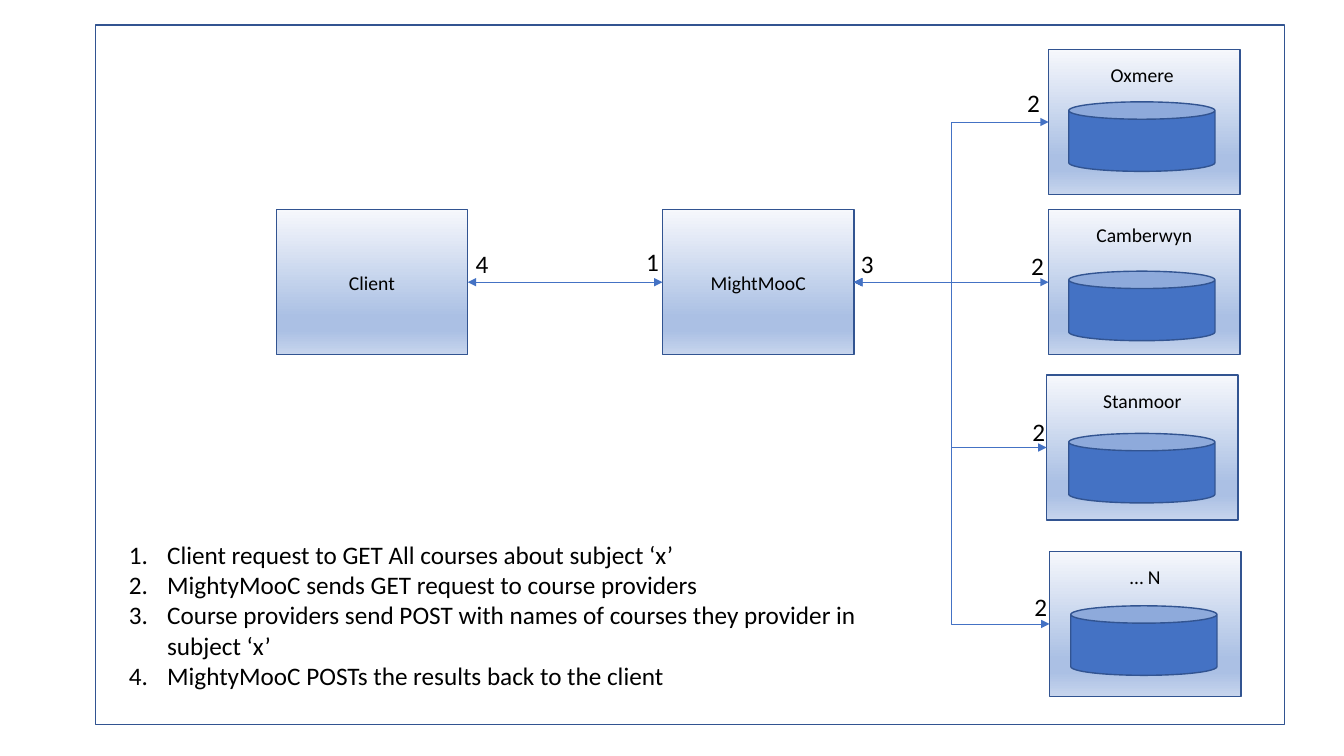
from lxml.etree import SubElement
from pptx import Presentation
from pptx.dml.color import RGBColor
from pptx.enum.shapes import MSO_CONNECTOR, MSO_SHAPE
from pptx.enum.text import MSO_ANCHOR, MSO_AUTO_SIZE, PP_ALIGN
from pptx.oxml import parse_xml
from pptx.oxml.ns import nsdecls, qn
from pptx.util import Inches, Pt

COLORS = {"line": "325491", "blue": "4472C4", "text": "000000",
          "light": "F6F8FC", "mid": "ABC0E4", "base": "C7D5ED"}
STOPS = [(0, "light"), (74, "mid"), (83, "mid"), (100, "base")]


class Deck:
    """Style and current slide; lengths are percent of slide width and height."""
    font = "Calibri"

    def __init__(self):
        self.prs = Presentation()
        self.prs.slide_width, self.prs.slide_height = Inches(13.33), Inches(7.5)
        self.s = self.prs.slides.add_slide(self.prs.slide_layouts[6])

    def x(self, share):
        return round(self.prs.slide_width * share / 100)

    def y(self, share):
        return round(self.prs.slide_height * share / 100)

    def at(self, x, y, w, h):
        return self.x(x), self.y(y), self.x(w), self.y(h)

    def color(self, name):
        return RGBColor.from_string(COLORS[name])

    def run(self, p, text, size):
        r = p.add_run()
        r.text = text
        r.font.name, r.font.size = self.font, Pt(size)
        r.font.color.rgb = self.color("text")

    def shape(self, kind, *box, fill=None):
        sp = self.s.shapes.add_shape(kind, *self.at(*box))
        sp.shadow.inherit = False
        if fill:
            sp.fill.solid()
            sp.fill.fore_color.rgb = self.color(fill)
        else:
            sp.fill.background()
        sp.line.color.rgb, sp.line.width = self.color("line"), Pt(1)
        return sp

    def node(self, x, y, text, top=None):
        """Gradient box; its text is centred, or starts at top when given."""
        sp = self.shape(MSO_SHAPE.RECTANGLE, x, y, NODE_W, NODE_H)
        stops = "".join(f'<a:gs pos="{pos * 1000}"><a:srgbClr val="{COLORS[c]}"/></a:gs>'
                        for pos, c in STOPS)
        grad = parse_xml(f'<a:gradFill {nsdecls("a")} rotWithShape="1"><a:gsLst>{stops}'
                         '</a:gsLst><a:lin ang="5400000" scaled="1"/></a:gradFill>')
        spPr = sp._element.spPr
        spPr.replace(spPr.find(qn("a:noFill")), grad)
        tf = sp.text_frame
        tf.vertical_anchor = MSO_ANCHOR.MIDDLE
        if top is not None:
            tf.vertical_anchor, tf.margin_top = MSO_ANCHOR.TOP, self.y(top)
        p = tf.paragraphs[0]
        p.alignment = PP_ALIGN.CENTER
        self.run(p, text, 14)

    def text(self, box, lines, numbered=False):
        tf = self.s.shapes.add_textbox(*self.at(*box)).text_frame
        tf.word_wrap = numbered
        tf.auto_size = MSO_AUTO_SIZE.SHAPE_TO_FIT_TEXT
        for i, line in enumerate(lines):
            p = tf.add_paragraph() if i else tf.paragraphs[0]
            self.run(p, line, 18)
            if numbered:
                pPr = p._p.get_or_add_pPr()
                indent = Inches(0.38)
                pPr.set("marL", str(indent))
                pPr.set("indent", str(-indent))
                SubElement(pPr, qn("a:buFont"), typeface="+mj-lt")
                SubElement(pPr, qn("a:buAutoNum"), type="arabicPeriod")

    def arrow(self, x1, y1, x2, y2, trunk=None):
        """Two-headed arrow that bends at the trunk when its ends differ in height."""
        kind = MSO_CONNECTOR.STRAIGHT if y1 == y2 else MSO_CONNECTOR.ELBOW
        c = self.s.shapes.add_connector(kind, self.x(x1), self.y(y1), self.x(x2), self.y(y2))
        c.line.color.rgb, c.line.width = self.color("blue"), Pt(0.5)
        spPr = c._element.spPr
        for end in ("headEnd", "tailEnd"):
            SubElement(spPr.find(qn("a:ln")), qn(f"a:{end}"), type="triangle")
        SubElement(spPr, qn("a:effectLst"))
        if y1 != y2:
            bend = round((trunk - x1) / (x2 - x1) * 100000)
            guides = spPr.find(qn("a:prstGeom")).get_or_add_avLst()
            SubElement(guides, qn("a:gd"), name="adj1", fmla=f"val {bend}")


NODE_W, NODE_H = 14.25, 19.2
CAN_W, CAN_H = 10.88, 9.2
LABEL_W, LABEL_H = 2.48, 5.33
CLIENT_X, SERVER_X, MAIN_Y = 20.55, 49.29, 27.73
TRUNK_X = 70.8
AXIS_Y = MAIN_Y + NODE_H / 2

# name, box x and y, database x and y, step label x and y
PROVIDERS = [("Oxmere ", 78.02, 6.53, 79.52, 13.47, 75.69, 10.93),
             ("Camberwyn", 78.02, MAIN_Y, 79.52, 35.87, 75.99, 32.4),
             ("Stanmoor", 77.87, 49.6, 79.52, 57.33, 76.07, 54.4),
             ("… N", 78.09, 72.93, 79.67, 80.13, 76.22, 77.6)]
STEPS = ["Client request to GET All courses about subject ‘x’ ",
         "MightyMooC sends GET request to course providers ",
         "Course providers send POST with names of courses they provider in subject ‘x’",
         "MightyMooC POSTs the results back to the client"]

deck = Deck()

# Frame, client and server
deck.shape(MSO_SHAPE.RECTANGLE, 7.13, 3.33, 88.45, 92.53)
deck.node(CLIENT_X, MAIN_Y, "Client")
deck.node(SERVER_X, MAIN_Y, "MightMooC")
deck.arrow(CLIENT_X + NODE_W, AXIS_Y, SERVER_X, AXIS_Y)

# Course providers with their databases and links
for name, x, y, can_x, can_y, label_x, label_y in PROVIDERS:
    deck.node(x, y, name, top=1.8)
    deck.shape(MSO_SHAPE.CAN, can_x, can_y, CAN_W, CAN_H, fill="blue")
    deck.arrow(SERVER_X + NODE_W, AXIS_Y, x, y + NODE_H / 2, TRUNK_X)
    deck.text((label_x, label_y, LABEL_W, LABEL_H), ["2"])

# Remaining step labels
for step, x, y in [("1", 47.34, 31.87), ("3", 63.32, 32.13), ("4", 34.66, 32.13)]:
    deck.text((x, y, LABEL_W, LABEL_H), [step])

# Explanation of the steps
deck.text((8.85, 70.67, 58.74, 21.6), STEPS, numbered=True)

deck.prs.save("out.pptx")
